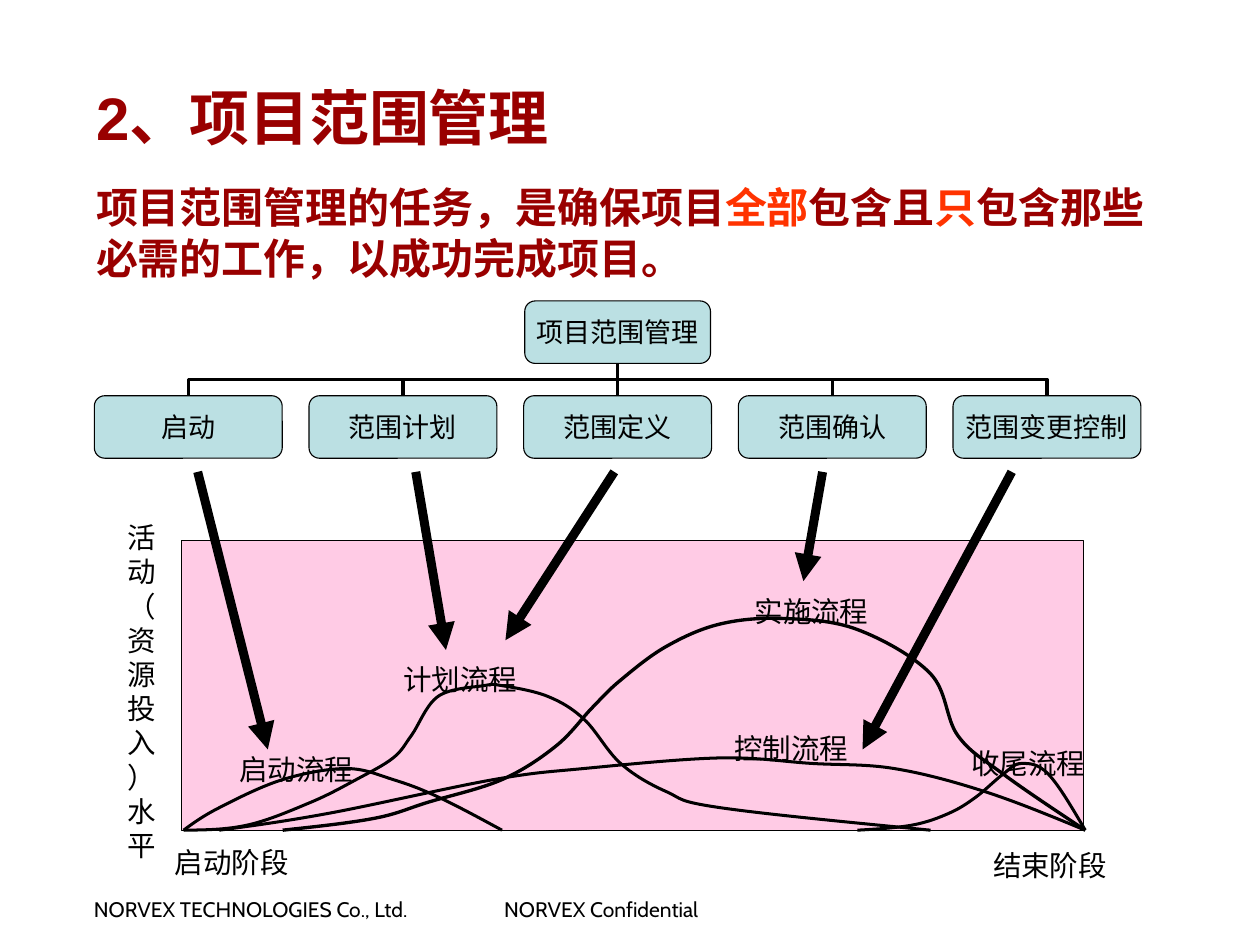
from dataclasses import dataclass

from lxml.etree import SubElement
from pptx import Presentation
from pptx.dml.color import RGBColor
from pptx.enum.lang import MSO_LANGUAGE_ID
from pptx.enum.shapes import MSO_CONNECTOR, MSO_SHAPE
from pptx.enum.text import MSO_ANCHOR, MSO_AUTO_SIZE, PP_ALIGN
from pptx.oxml.ns import qn
from pptx.util import Cm, Pt

HEADING = "2、项目范围管理"
TASK = [
    ("项目范围管理的任务，是确保项目", False),
    ("全部", True),
    ("包含且", False),
    ("只", True),
    ("包含那些必需的工作，以成功完成项目。", False),
]
ROOT = "项目范围管理"
PROCESSES = ["启动", "范围计划", "范围定义", "范围确认", "范围变更控制"]
AXIS_LABEL = "活动（资源投入）水平"
# Text, centre x, top, in centimetres
LABELS = [
    ("启动阶段", 5.45, 19.74),
    ("启动流程", 6.97, 17.55),
    ("计划流程", 10.83, 15.43),
    ("实施流程", 19.09, 13.82),
    ("控制流程", 18.61, 17.04),
    ("收尾流程", 24.19, 17.4),
    ("结束阶段", 24.7, 19.81),
]
# Line width in points, then the points each curve passes through
CURVES = {
    "启动流程": (2, [(4.32, 19.53), (5.16, 19), (6.65, 18.34), (8.15, 18.08),
                 (9.25, 18.34), (10.31, 18.75), (11.81, 19.53)]),
    "计划流程": (2, [(4.32, 19.53), (5.82, 19.41), (7.32, 18.87), (8.38, 18.34),
                 (9.25, 17.83), (9.68, 17.3), (10.31, 16.38), (11.38, 16.13),
                 (11.81, 16.13), (12.88, 16.38), (13.74, 16.92), (14.6, 17.96),
                 (15.67, 18.62), (16.94, 19), (21.89, 19.53)]),
    "实施流程": (2.25, [(6.65, 19.53), (8.81, 19.25), (10.08, 18.87), (11.81, 18.34),
                    (13.08, 17.55), (13.94, 16.64), (14.6, 16), (15.67, 15.21),
                    (16.94, 14.68), (18.44, 14.55), (20.17, 14.81), (21.89, 15.85),
                    (22.53, 17.3), (23.6, 18.21), (25.53, 19.53)]),
    "控制流程": (2, [(5.16, 19.53), (7.75, 19.13), (11.61, 18.34), (13.74, 18.08),
                 (16.94, 17.83), (19.1, 17.96), (21.03, 18.08), (23.16, 18.62),
                 (25.53, 19.53)]),
    "收尾流程": (2, [(20.17, 19.53), (21.46, 19.41), (22.33, 19.13), (22.96, 18.75),
                 (23.6, 18.21), (24.03, 17.96), (24.66, 18.21), (25.53, 19.53)]),
}
ARROW_TOP = 11.1
# Start x, end x, end y
ARROWS = [(4.65, 6.3, 17.63), (9.78, 10.49, 15.29), (14.45, 11.89, 15.06),
          (19.35, 18.9, 13.67), (23.8, 20.29, 17.63)]
# Text, left, width
FOOTERS = [("NORVEX TECHNOLOGIES Co., Ltd.", 1.96, 9.2), ("NORVEX Confidential", 11.61, 6.5)]


@dataclass(frozen=True)
class Theme:
    ink: RGBColor = RGBColor(0, 0, 0)
    title: RGBColor = RGBColor(0x99, 0, 0)
    accent: RGBColor = RGBColor(0xFF, 0x33, 0)
    box: RGBColor = RGBColor(0xBB, 0xE0, 0xE3)
    plot: RGBColor = RGBColor(0xFF, 0x99, 0xCC)
    main_font: str = "Arial"
    label_font: str = "DejaVu Sans"
    footer_font: str = "Cabin"
    heading_size: int = 40
    task_size: int = 28
    box_size: int = 18
    label_size: int = 19
    footer_size: int = 14


THEME = Theme()


def add_span(para, text, font, size, color=THEME.ink, bold=False):
    span = para.add_run()
    span.text = text
    span.font.name, span.font.size, span.font.bold = font, Pt(size), bold
    span.font.color.rgb = color
    span.font.language_id = MSO_LANGUAGE_ID.SIMPLIFIED_CHINESE


def set_frame(frame, align=PP_ALIGN.LEFT, anchor=MSO_ANCHOR.TOP, inset=(0.25, 0.13), wrap=True):
    """Format a text frame and return its first paragraph."""
    frame.word_wrap, frame.auto_size = wrap, MSO_AUTO_SIZE.NONE
    frame.vertical_anchor = anchor
    frame.margin_left = frame.margin_right = Cm(inset[0])
    frame.margin_top = frame.margin_bottom = Cm(inset[1])
    para = frame.paragraphs[0]
    para.alignment = align
    return para


def add_text(page, area, **layout):
    return set_frame(page.shapes.add_textbox(*map(Cm, area)).text_frame, **layout)


def style_shape(shape, fill, line_width=0.75):
    shape.shadow.inherit = False
    if fill is None:
        shape.fill.background()
    else:
        shape.fill.solid()
        shape.fill.fore_color.rgb = fill
    shape.line.color.rgb, shape.line.width = THEME.ink, Pt(line_width)


def add_line(page, kind, points, width):
    line = page.shapes.add_connector(kind, *map(Cm, points))
    line.line.color.rgb, line.line.width = THEME.ink, Pt(width)
    SubElement(line._element.spPr, qn("a:effectLst"))
    return line


def add_box(page, text, left, top, width):
    box = page.shapes.add_shape(MSO_SHAPE.ROUNDED_RECTANGLE, Cm(left), Cm(top), Cm(width), Cm(1.47))
    style_shape(box, THEME.box)
    para = set_frame(box.text_frame, PP_ALIGN.CENTER, MSO_ANCHOR.MIDDLE, wrap=False)
    add_span(para, text, THEME.main_font, THEME.box_size)
    return box


def join_boxes(page, child, root, child_x, root_x):
    """Join a child's top to the root's bottom, turning elbows to run vertically first."""
    straight = child_x == root_x
    kind = MSO_CONNECTOR.STRAIGHT if straight else MSO_CONNECTOR.ELBOW
    line = add_line(page, kind, (0, 0, 1, 1), 2.25)
    line.begin_connect(child, 0)
    line.end_connect(root, 2)
    if straight:
        return
    reach, gap = Cm(abs(child_x - root_x)), child.top - root.top - root.height
    line.left = Cm((child_x + root_x) / 2) - gap // 2
    line.top = child.top - gap // 2 - reach // 2
    line.width, line.height = gap, reach
    on_left = child_x < root_x
    frame = line._element.spPr.find(qn("a:xfrm"))
    frame.set("rot", str((90 if on_left else 270) * 60000))
    frame.set("flipH", "1" if on_left else "0")
    frame.set("flipV", "1")


def control_points(knots, index):
    """Return both Bézier handles of the segment that starts at the knot with this index."""
    start, end = knots[index], knots[index + 1]
    first, last = index == 0, index == len(knots) - 2
    leave = arrive = None
    if not first:
        leave = [b + (c - a) / 6 for a, b, c in zip(knots[index - 1], start, end)]
    if not last:
        arrive = [b - (c - a) / 6 for a, b, c in zip(start, end, knots[index + 2])]
    leave = leave or [(a + b) / 2 for a, b in zip(start, arrive)]
    arrive = arrive or [(a + b) / 2 for a, b in zip(leave, end)]
    return leave, arrive


def add_curve(page, knots, width):
    points = [(Cm(x), Cm(y)) for x, y in knots]
    builder = page.shapes.build_freeform(*points[0])
    builder.add_line_segments(points[1:], close=False)
    curve = builder.convert_to_shape()
    style_shape(curve, None, width)
    local = [(x - curve.left, y - curve.top) for x, y in points]
    segments = list(curve._element.spPr.iter(qn("a:lnTo")))
    for index, segment in enumerate(segments):
        segment.tag = qn("a:cubicBezTo")
        end = segment[0]
        for x, y in control_points(local, index):
            handle = SubElement(segment, qn("a:pt"))
            handle.set("x", str(round(x)))
            handle.set("y", str(round(y)))
        segment.append(end)


def add_headings(page):
    title = page.shapes.title
    title.left, title.top, title.width, title.height = map(Cm, (2.01, 3.61, 26.14, 3.71))
    para = set_frame(title.text_frame, anchor=MSO_ANCHOR.MIDDLE)
    for text, stressed in TASK:
        color = THEME.accent if stressed else THEME.title
        add_span(para, text, THEME.main_font, THEME.task_size, color, True)
    para = add_text(page, (2.01, 0.89, 26.14, 3.71), anchor=MSO_ANCHOR.MIDDLE)
    add_span(para, HEADING, THEME.main_font, THEME.heading_size, THEME.title, True)


def add_tree(page):
    left, pitch, width, root_width = 2.22, 5.05, 4.42, 4.37
    centers = [left + pitch * i + width / 2 for i in range(len(PROCESSES))]
    root_x = centers[len(centers) // 2]
    root = add_box(page, ROOT, root_x - root_width / 2, 7.08, root_width)
    for text, center in zip(PROCESSES, centers):
        child = add_box(page, text, center - width / 2, 9.31, width)
        join_boxes(page, child, root, center, root_x)


def add_plot(page):
    plot = page.shapes.add_shape(MSO_SHAPE.RECTANGLE, *map(Cm, (4.27, 12.72, 21.23, 6.81)))
    style_shape(plot, THEME.plot)
    color = plot._element.spPr.find(qn("a:solidFill"))[0]
    SubElement(color, qn("a:alpha")).set("val", "50000")
    for width, knots in CURVES.values():
        add_curve(page, knots, width)
    label_width = 3.9
    for text, center, top in LABELS:
        area = (center - label_width / 2, top, label_width, 1.09)
        para = add_text(page, area, align=PP_ALIGN.CENTER, inset=(0.3, 0.15))
        add_span(para, text, THEME.label_font, THEME.label_size)
    para = add_text(page, (2.64, 12.08, 1.37, 8.36), align=PP_ALIGN.CENTER,
                    anchor=MSO_ANCHOR.MIDDLE, inset=(0.28, 0.15))
    add_span(para, AXIS_LABEL, THEME.label_font, THEME.label_size)
    for start_x, end_x, end_y in ARROWS:
        arrow = add_line(page, MSO_CONNECTOR.STRAIGHT, (start_x, ARROW_TOP, end_x, end_y), 6)
        SubElement(arrow.line._get_or_add_ln(), qn("a:tailEnd")).set("type", "triangle")


def main():
    deck = Presentation()
    deck.slide_width, deck.slide_height = Cm(29.64), Cm(22.23)
    page = deck.slides.add_slide(deck.slide_layouts[5])
    add_headings(page)
    add_tree(page)
    add_plot(page)
    for text, left, width in FOOTERS:
        para = add_text(page, (left, 20.96, width, 0.84))
        add_span(para, text, THEME.footer_font, THEME.footer_size)
    deck.save("out.pptx")


if __name__ == "__main__":
    main()
